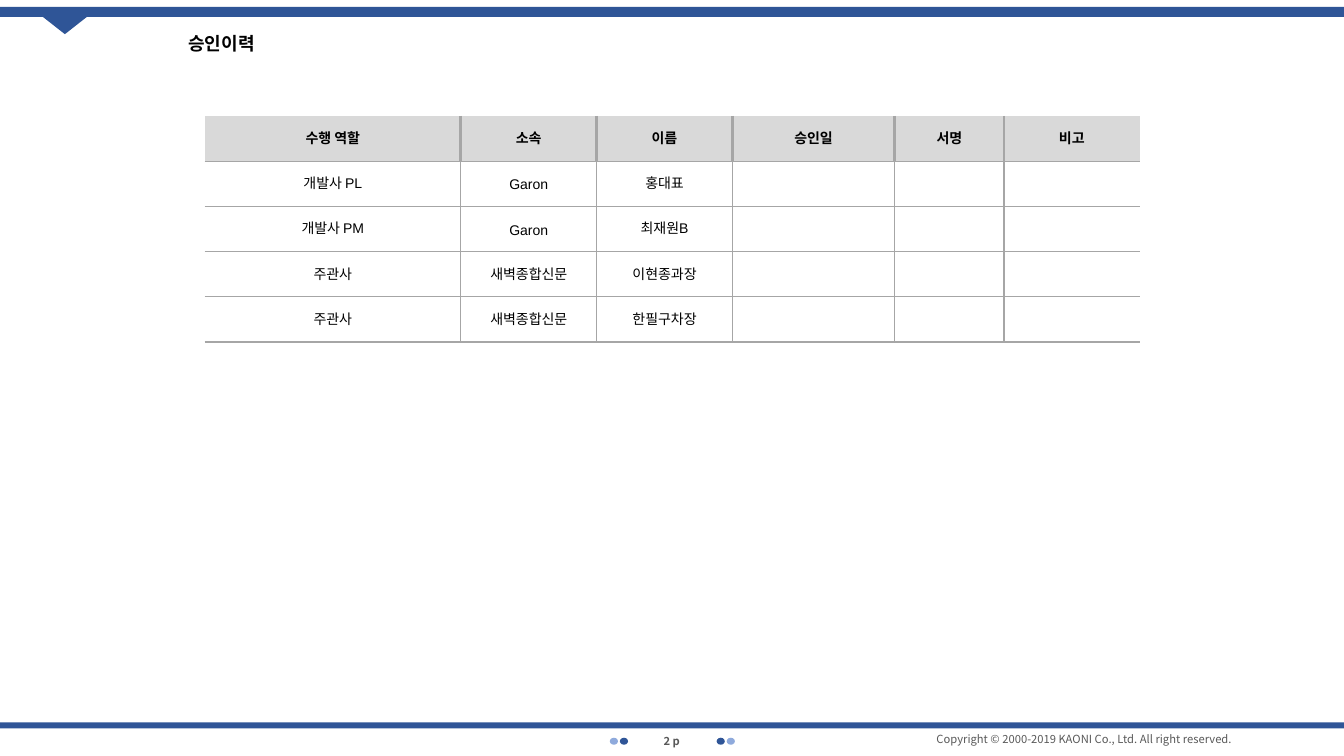
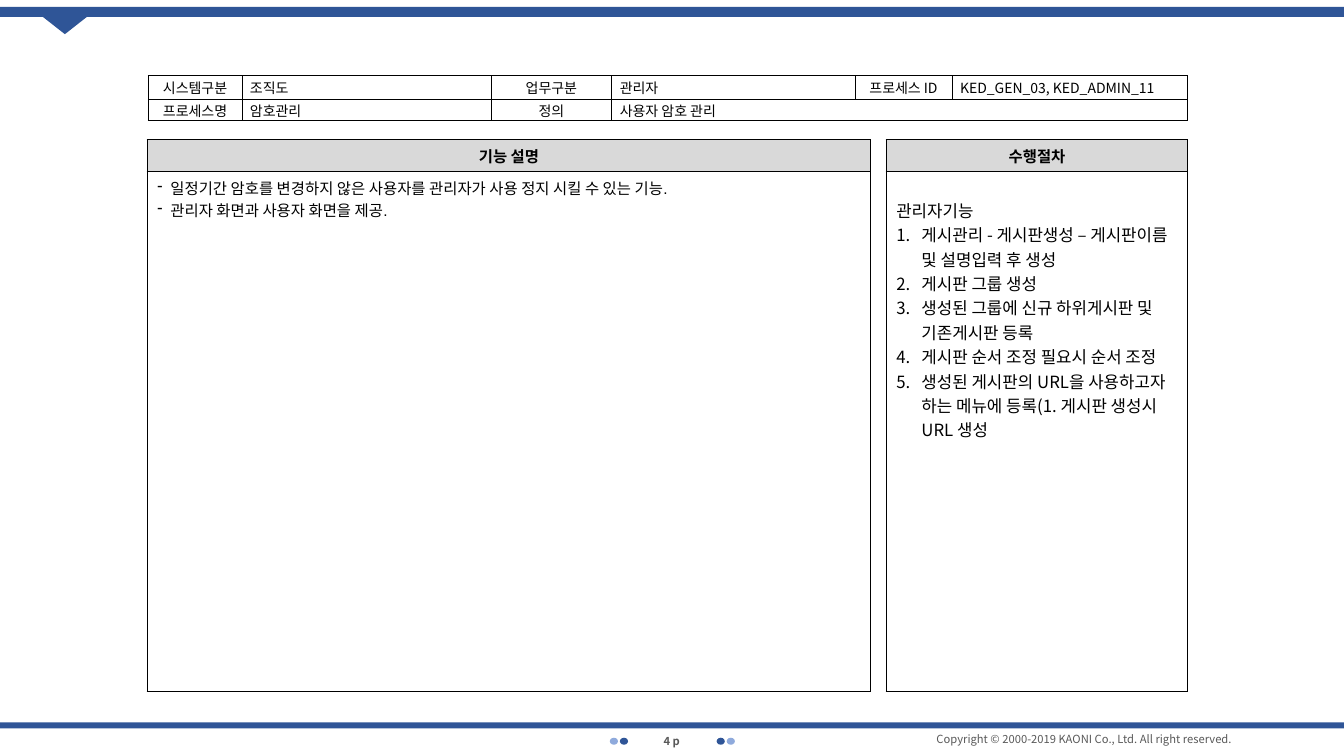
from lxml.etree import SubElement
from pptx import Presentation
from pptx.dml.color import RGBColor
from pptx.enum.shapes import MSO_SHAPE
from pptx.enum.text import MSO_ANCHOR, MSO_AUTO_SIZE, PP_ALIGN
from pptx.oxml.ns import qn
from pptx.util import Pt

KOREAN = "Noto Sans CJK KR"
NAVY = "2F5597"
SKY = "8FAADC"
BLACK = "000000"
GRAY = "595959"
RULE = "A6A6A6"
HEADER = "D9D9D9"


def add_span(para, text, size, color=BLACK, bold=False, font=KOREAN):
    span = para.add_run()
    span.text = text
    span.font.size = Pt(size)
    span.font.bold = bold
    span.font.name = font
    span.font.color.rgb = RGBColor.from_string(color)
    SubElement(span.font._element, qn("a:ea"), typeface=KOREAN)


def frame_cell(cell, fill, color, widths):
    if fill:
        cell.fill.solid()
        cell.fill.fore_color.rgb = RGBColor.from_string(fill)
    else:
        cell.fill.background()
    properties = cell._tc.get_or_add_tcPr()
    for position, (side, width) in enumerate(zip("LRTB", widths)):
        line = SubElement(properties, qn(f"a:ln{side}"), w=str(Pt(width)))
        if width:
            paint = SubElement(line, qn("a:solidFill"))
            SubElement(paint, qn("a:srgbClr"), val=color)
        else:
            SubElement(line, qn("a:noFill"))
        properties.insert(position, line)


deck = Presentation()
deck.slide_width = Pt(960)
deck.slide_height = Pt(540)
layout = deck.slide_layouts[5]
approval_page = deck.slides.add_slide(layout)
process_page = deck.slides.add_slide(layout)

decorations = [
    (MSO_SHAPE.RECTANGLE, 0, 516, 960, 4.3, NAVY, 0),
    (MSO_SHAPE.RECTANGLE, 0, 5, 960, 7.2, NAVY, 0),
    (MSO_SHAPE.ISOSCELES_TRIANGLE, 28, 10, 36.7, 14.4, NAVY, 180),
]
for left, color in ((435.6, SKY), (442.8, NAVY), (511.9, NAVY), (519.1, SKY)):
    decorations.append((MSO_SHAPE.OVAL, left, 527, 5.8, 5, color, 0))

for kind, left, top, width, height, color, rotation in decorations:
    shape = approval_page.shapes.add_shape(kind, Pt(left), Pt(top), Pt(width), Pt(height))
    shape.shadow.inherit = False
    shape.fill.solid()
    shape.fill.fore_color.rgb = RGBColor.from_string(color)
    shape.line.fill.background()
    shape.rotation = rotation
    layout.shapes.element.append(shape.element)

box = approval_page.shapes.add_textbox(Pt(668.9), Pt(523), Pt(217), Pt(12))
frame = box.text_frame
frame.margin_left = frame.margin_right = frame.margin_top = frame.margin_bottom = 0
frame.word_wrap = False
add_span(frame.paragraphs[0], "Copyright © 2000-2019 KAONI Co., Ltd. All right reserved.", 8, GRAY)
layout.shapes.element.append(box.element)

for page, number in ((approval_page, 2), (process_page, 4)):
    box = page.shapes.add_textbox(Pt(442), Pt(520.5), Pt(75.6), Pt(18))
    box.text_frame.word_wrap = True
    box.text_frame.vertical_anchor = MSO_ANCHOR.MIDDLE
    para = box.text_frame.paragraphs[0]
    para.alignment = PP_ALIGN.CENTER
    add_span(para, f"{number} p", 8, GRAY, bold=True)

title = approval_page.shapes.title
title.left, title.top, title.width, title.height = Pt(127.4), Pt(19.6), Pt(464.4), Pt(24)
title.text_frame.auto_size = MSO_AUTO_SIZE.NONE
title.text_frame.vertical_anchor = MSO_ANCHOR.TOP
para = title.text_frame.paragraphs[0]
para.alignment = PP_ALIGN.LEFT
add_span(para, "승인이력", 12.9, bold=True)

approvals = [
    ["수행 역할", "소속", "이름", "승인일", "서명", "비고"],
    ["개발사 PL", "Garon", "홍대표", "", "", ""],
    ["개발사 PM", "Garon", "최재원B", "", "", ""],
    ["주관사", "새벽종합신문", "이현종과장", "", "", ""],
    ["주관사", "새벽종합신문", "한필구차장", "", "", ""],
]
widths = [183, 97, 97, 116, 78, 97]
last_row = len(approvals) - 1
last_column = len(widths) - 1
table = approval_page.shapes.add_table(
    len(approvals), len(widths), Pt(146.2), Pt(82.8), Pt(sum(widths)), Pt(161.5)
).table
table.first_row = table.horz_banding = False
for column, width in zip(table.columns, widths):
    column.width = Pt(width)
for row, texts in enumerate(approvals):
    table.rows[row].height = Pt(32.3)
    for column, text in enumerate(texts):
        cell = table.cell(row, column)
        is_header = row == 0
        inner = 2.25 if is_header else 1
        edges = (
            inner if column > 0 else 0,
            inner if column < last_column else 0,
            0 if is_header else 1,
            2.25 if row == last_row else 1,
        )
        frame_cell(cell, HEADER if is_header else None, RULE, edges)
        cell.vertical_anchor = MSO_ANCHOR.MIDDLE
        cell.margin_left = cell.margin_right = Pt(4.3)
        cell.margin_top = cell.margin_bottom = 0
        if text:
            para = cell.text_frame.paragraphs[0]
            para.alignment = PP_ALIGN.CENTER
            para.line_spacing = Pt(13)
            add_span(para, text, 10, bold=is_header, font=KOREAN if is_header else "Arial")

unused_title = process_page.shapes.title.element
unused_title.getparent().remove(unused_title)

DASH = ("a:buChar", {"char": "-"}, 9.3)
NUMBER = ("a:buAutoNum", {"type": "arabicPeriod"}, 18)
panels = [
    (105.2, 516.8, "기능 설명", 3.6, 11, "Arial", [
        (DASH, "일정기간 암호를 변경하지 않은 사용자를 관리자가 사용 정지 시킬 수 있는 기능."),
        (DASH, "관리자 화면과 사용자 화면을 제공."),
    ]),
    (633, 215.5, "수행절차", 19, 12, KOREAN, [
        (None, "관리자기능"),
        (NUMBER, "게시관리 - 게시판생성 – 게시판이름 및 설명입력 후 생성"),
        (NUMBER, "게시판 그룹 생성"),
        (NUMBER, "생성된 그룹에 신규 하위게시판 및 기존게시판 등록"),
        (NUMBER, "게시판 순서 조정 필요시 순서 조정"),
        (NUMBER, "생성된 게시판의 URL을 사용하고자 하는 메뉴에 등록(1. 게시판 생성시 URL 생성"),
    ]),
]
for left, width, heading, top_margin, size, font, items in panels:
    table = process_page.shapes.add_table(2, 1, Pt(left), Pt(99.8), Pt(width), Pt(394)).table
    table.first_row = table.horz_banding = False
    table.rows[0].height = Pt(22.6)
    table.rows[1].height = Pt(371.4)
    header, body = table.cell(0, 0), table.cell(1, 0)
    frame_cell(header, HEADER, BLACK, (1, 1, 1, 1))
    frame_cell(body, None, BLACK, (1, 1, 1, 1))
    para = header.text_frame.paragraphs[0]
    para.alignment = PP_ALIGN.CENTER
    add_span(para, heading, 11, bold=True, font="Arial")
    body.margin_top = Pt(top_margin)
    for index, (bullet, text) in enumerate(items):
        para = body.text_frame.add_paragraph() if index else body.text_frame.paragraphs[0]
        if bullet:
            tag, attributes, indent = bullet
            properties = para._p.get_or_add_pPr()
            properties.set("marL", str(Pt(indent)))
            properties.set("indent", str(-Pt(indent)))
            SubElement(properties, qn(tag), attributes)
        add_span(para, text, size, font=font)

process_rows = [
    ["시스템구분", "조직도", "업무구분", "관리자", "프로세스 ID", "KED_GEN_03, KED_ADMIN_11"],
    ["프로세스명", "암호관리", "정의", "사용자 암호 관리", "", ""],
]
widths = [67, 178, 86.2, 173.8, 69.3, 168.2]
table = process_page.shapes.add_table(
    2, len(widths), Pt(105.8), Pt(53.8), Pt(sum(widths)), Pt(32.3)
).table
table.first_row = table.horz_banding = False
for column, width in zip(table.columns, widths):
    column.width = Pt(width)
for row, (texts, height) in enumerate(zip(process_rows, (17.3, 15))):
    table.rows[row].height = Pt(height)
    for column, text in enumerate(texts):
        cell = table.cell(row, column)
        is_label = column % 2 == 0
        frame_cell(cell, None, BLACK, (0.5, 0.5, 0.5, 0.5))
        cell.vertical_anchor = MSO_ANCHOR.MIDDLE
        cell.margin_left = Pt(1.4 if is_label else 5.8)
        cell.margin_right = Pt(1.4)
        cell.margin_top = cell.margin_bottom = Pt(0.2)
        if text:
            para = cell.text_frame.paragraphs[0]
            para.alignment = PP_ALIGN.CENTER if is_label else PP_ALIGN.LEFT
            add_span(para, text, 10)
table.cell(1, 3).merge(table.cell(1, 5))

deck.save("out.pptx")
